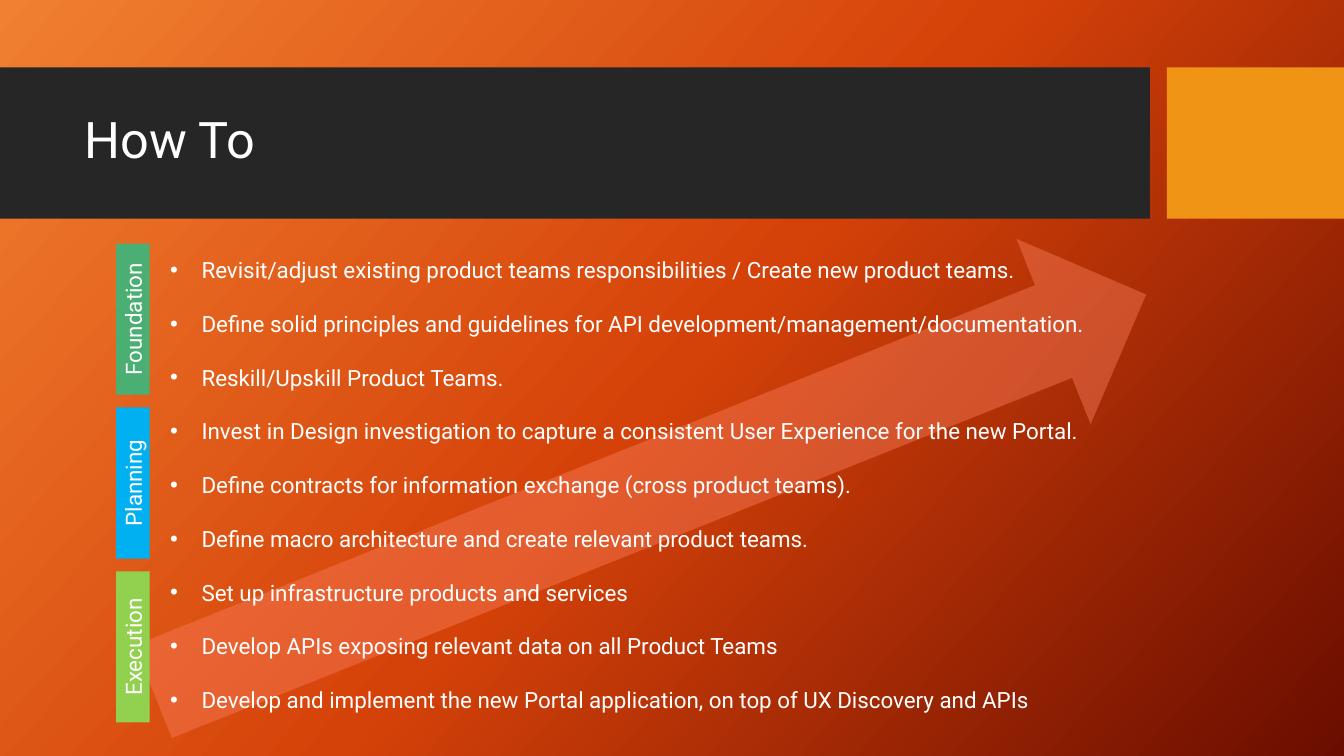
import copy

import pptx
import pptx.dml.color
import pptx.enum.shapes
import pptx.enum.text
import pptx.oxml
import pptx.oxml.ns
import pptx.util
from pptx.util import Cm

SHAPE = pptx.enum.shapes.MSO_SHAPE
ALIGN = pptx.enum.text.PP_ALIGN
ANCHOR = pptx.enum.text.MSO_ANCHOR
qn = pptx.oxml.ns.qn

FONT = "Roboto"
WHITE = "FFFFFF"
BACKGROUND = [(0, "F18031"), (0.5, "D54209"), (1, "6A0D00")]
PHASES = [("Foundation", "4BAF73"), ("Planning", "00B0F0"), ("Execution", "92D050")]
STEPS = [
    "Revisit/adjust existing product teams responsibilities / Create new product teams.",
    "Define solid principles and guidelines for API development/management/documentation.",
    "Reskill/Upskill Product Teams.",
    "Invest in Design investigation to capture a consistent User Experience for the new Portal.",
    "Define contracts for information exchange (cross product teams).",
    "Define macro architecture and create relevant product teams.",
    "Set up infrastructure products and services",
    "Develop APIs exposing relevant data on all Product Teams",
    "Develop and implement the new Portal application, on top of UX Discovery and APIs",
]


def set_color(color, value):
    color.rgb = pptx.dml.color.RGBColor.from_string(value)


def set_text(p, text, size=16, color=WHITE, align=ALIGN.LEFT, spacing=1.0):
    p.alignment = align
    p.line_spacing = spacing
    r = p.add_run()
    r.text = text
    r.font.name = FONT
    r.font.size = pptx.util.Pt(size)
    set_color(r.font.color, color)


def set_background(s, stops, angle):
    fill = s.background.fill
    fill.gradient()
    fill.gradient_angle = 360 - angle
    gs_list = s._element.find(".//" + qn("a:gsLst"))
    gs_list.append(copy.deepcopy(gs_list[-1]))
    for stop, (position, color) in zip(fill.gradient_stops, stops):
        stop.position = position
        set_color(stop.color, color)


def add_block(s, kind, left, top, width, height, color, rotation=0, alpha=None):
    sp = s.shapes.add_shape(kind, Cm(left), Cm(top), Cm(width), Cm(height))
    sp.shadow.inherit = False
    sp.line.fill.background()
    sp.fill.solid()
    set_color(sp.fill.fore_color, color)
    sp.rotation = rotation
    if alpha is not None:
        clr = sp._element.spPr.find(".//" + qn("a:srgbClr"))
        clr.append(pptx.oxml.parse_xml(
            f'<a:alpha {pptx.oxml.ns.nsdecls("a")} val="{alpha * 1000}"/>'))
    return sp


def add_title(s, text):
    sp = s.shapes.title
    s.shapes._spTree.append(sp._element)  # bring in front of the band
    sp.left, sp.top, sp.width, sp.height = Cm(1.88), Cm(2.08), Cm(26.7), Cm(3)
    tf = sp.text_frame
    tf.vertical_anchor = ANCHOR.MIDDLE
    set_text(tf.paragraphs[0], text, size=36, spacing=0.9)


def add_bullets(s, items):
    sp = s.shapes.add_textbox(Cm(4.04), Cm(5.66), Cm(27.91), Cm(12.34))
    tf = sp.text_frame
    tf.word_wrap = True
    for i, item in enumerate(items):
        p = tf.add_paragraph() if i else tf.paragraphs[0]
        set_text(p, item, spacing=2.0)
        pPr = p._p.get_or_add_pPr()
        pPr.set("marL", str(Cm(0.79)))
        pPr.set("indent", str(-Cm(0.79)))
        ns = pptx.oxml.ns.nsdecls("a")
        pPr.append(pptx.oxml.parse_xml(f'<a:buFont {ns} typeface="Arial"/>'))
        pPr.append(pptx.oxml.parse_xml(f'<a:buChar {ns} char="•"/>'))


def add_phase(s, label, color, center_y):
    width, height, center_x = 3.81, 0.84, 3.35
    sp = add_block(s, SHAPE.RECTANGLE, center_x - width / 2, center_y - height / 2,
                   width, height, color, rotation=270)
    tf = sp.text_frame
    tf.vertical_anchor = ANCHOR.MIDDLE
    set_text(tf.paragraphs[0], label, align=ALIGN.CENTER)


def main():
    prs = pptx.Presentation()
    prs.slide_width, prs.slide_height = Cm(33.87), Cm(19.05)
    s = prs.slides.add_slide(prs.slide_layouts[5])
    set_background(s, BACKGROUND, 42)

    # Title band and accent block
    add_block(s, SHAPE.RECTANGLE, 0, 1.7, 28.98, 3.81, "262626")
    add_block(s, SHAPE.RECTANGLE, 29.41, 1.7, 4.46, 3.81, "F09415")

    # Rising arrow behind the text
    add_block(s, SHAPE.RIGHT_ARROW, 2.9, 9.91, 26.95, 5.03, "FA7E5C",
              rotation=338.2, alpha=44)

    # Title, steps and phase tabs
    add_title(s, "How To")
    add_bullets(s, STEPS)
    for i, (label, color) in enumerate(PHASES):
        add_phase(s, label, color, 8.04 + 4.13 * i)

    prs.save("out.pptx")


if __name__ == "__main__":
    main()
